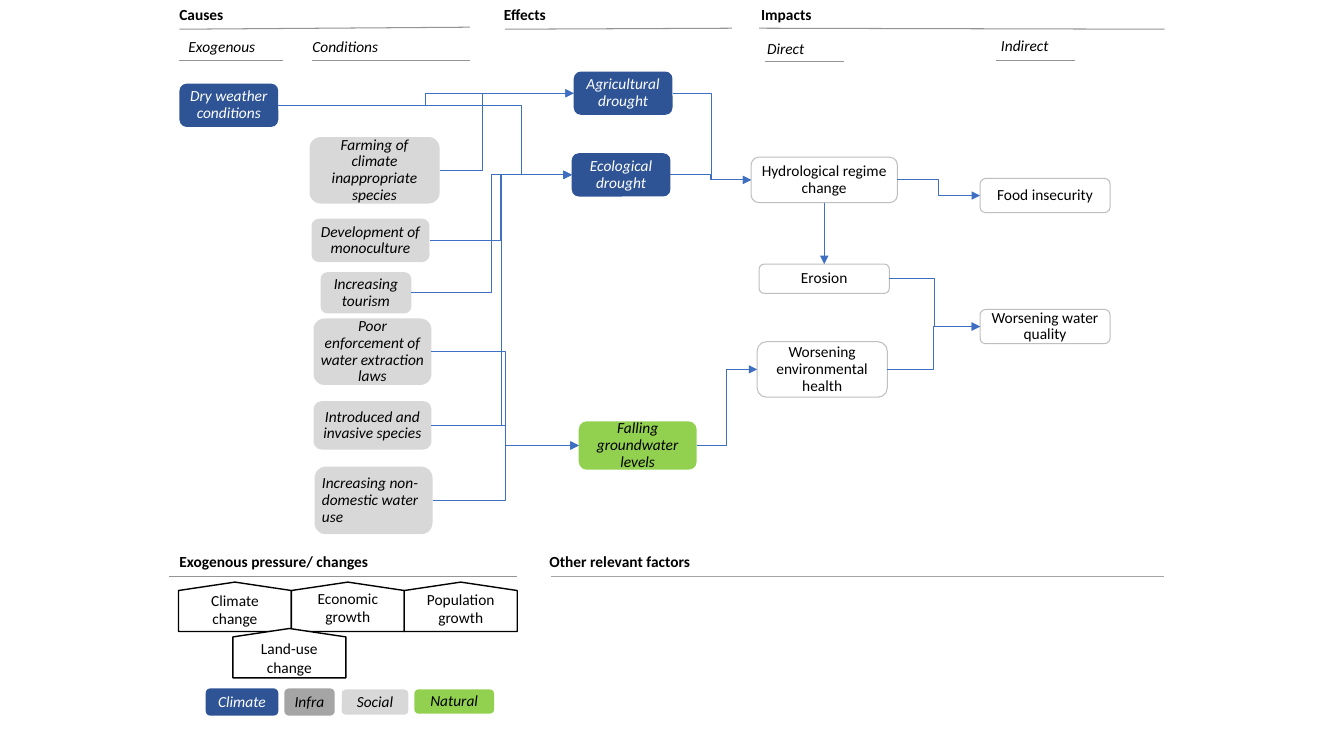
"""Build a cause, effect and impact diagram of drought."""
from dataclasses import dataclass
from typing import Any

from lxml import etree
from pptx import Presentation
from pptx.dml.color import RGBColor
from pptx.enum.shapes import MSO_CONNECTOR, MSO_SHAPE
from pptx.enum.text import MSO_ANCHOR, MSO_AUTO_SIZE, PP_ALIGN
from pptx.oxml.ns import qn
from pptx.util import Inches, Pt

ROUNDED, PENTAGON = MSO_SHAPE.ROUNDED_RECTANGLE, MSO_SHAPE.PENTAGON
STRAIGHT, ELBOW = MSO_CONNECTOR.STRAIGHT, MSO_CONNECTOR.ELBOW
LEFT, CENTER = PP_ALIGN.LEFT, PP_ALIGN.CENTER
TOP, MIDDLE = MSO_ANCHOR.TOP, MSO_ANCHOR.MIDDLE
FIT_SHAPE, NO_FIT = MSO_AUTO_SIZE.SHAPE_TO_FIT_TEXT, MSO_AUTO_SIZE.NONE
SITE_TOP, SITE_LEFT, SITE_BOTTOM, SITE_RIGHT = range(4)


@dataclass(frozen=True)
class Theme:
    font: str = "Calibri"
    size: float = 11
    thin: float = 0.75
    outline: float = 1
    black: str = "000000"
    white: str = "FFFFFF"
    rule: str = "949494"
    light_rule: str = "A5A5A5"
    box_edge: str = "BFBFBF"
    arrow: str = "3F6FC3"


@dataclass(frozen=True)
class Category:
    fill: str
    ink: str = "000000"
    italic: bool = True
    edge: str | None = None
    side_inset: float = 0.04


@dataclass(frozen=True)
class Node:
    key: str
    label: str
    left: float
    top: float
    width: float
    height: float
    category: Category
    align: Any = CENTER


@dataclass(frozen=True)
class Heading:
    label: str
    left: float
    top: float
    width: float
    bold: bool


@dataclass(frozen=True)
class Rule:
    x1: float
    y1: float
    x2: float
    y2: float
    color: str


@dataclass(frozen=True)
class Link:
    source: str
    target: str
    bend: float = 0.5


@dataclass(frozen=True)
class Pressure:
    label: str
    center: float
    middle: float
    label_top: float


THEME = Theme()
CLIMATE = Category("2F5496", THEME.white)
INFRA = Category("A5A5A5")
SOCIAL = Category("D8D8D8")
NATURAL = Category("92D050")
IMPACT = Category(THEME.white, italic=False, edge=THEME.box_edge, side_inset=0)

HEADINGS = [
    Heading("Causes", 1.68, 0, 3.33, True),
    Heading("Effects", 4.9, 0, 2.01, True),
    Heading("Impacts", 7.45, 0, 3.74, True),
    Heading("Exogenous", 1.77, 0.32, 1.06, False),
    Heading("Conditions", 3, 0.32, 1.67, False),
    Heading("Direct", 7.51, 0.34, 1.06, False),
    Heading("Indirect", 9.83, 0.31, 1.67, False),
    Heading("Exogenous pressure/ changes", 1.68, 5.43, 3.41, True),
    Heading("Other relevant factors", 5.35, 5.43, 3.92, True),
]
RULES = [
    Rule(1.78, 0.29, 4.66, 0.27, THEME.rule),
    Rule(5.01, 0.29, 7.26, 0.28, THEME.rule),
    Rule(7.53, 0.28, 11.55, 0.29, THEME.rule),
    Rule(1.78, 0.6, 2.81, 0.6, THEME.rule),
    Rule(3.09, 0.6, 4.66, 0.6, THEME.rule),
    Rule(7.59, 0.61, 8.37, 0.61, THEME.rule),
    Rule(9.88, 0.6, 10.66, 0.6, THEME.rule),
    Rule(1.68, 5.72, 5.13, 5.72, THEME.rule),
    Rule(5.47, 5.72, 11.54, 5.72, THEME.light_rule),
]
NODES = [
    Node("dry", "Dry weather conditions", 1.78, 0.83, 0.98, 0.43, CLIMATE),
    Node("farming", "Farming of climate inappropriate species", 3.07, 1.36, 1.29, 0.66, SOCIAL),
    Node("monoculture", "Development of monoculture", 3.09, 2.17, 1.17, 0.43, SOCIAL),
    Node("tourism", "Increasing tourism", 3.18, 2.7, 0.9, 0.41, SOCIAL),
    Node("laws", "Poor enforcement of water extraction laws", 3.11, 3.16, 1.17, 0.66, SOCIAL),
    Node("invasive", "Introduced and invasive species", 3.11, 3.98, 1.17, 0.48, SOCIAL),
    Node("use", "Increasing non-domestic water use", 3.12, 4.63, 1.17, 0.67, SOCIAL, LEFT),
    Node("agricultural", "Agricultural drought", 5.69, 0.71, 0.98, 0.43, CLIMATE),
    Node("ecological", "Ecological drought", 5.67, 1.52, 0.98, 0.43, CLIMATE),
    Node("groundwater", "Falling groundwater levels", 5.74, 4.18, 1.17, 0.48, NATURAL),
    Node("regime", "Hydrological regime change", 7.45, 1.56, 1.45, 0.45, IMPACT),
    Node("erosion", "Erosion", 7.53, 2.62, 1.29, 0.29, IMPACT),
    Node("health", "Worsening environmental health", 7.51, 3.39, 1.29, 0.55, IMPACT),
    Node("food", "Food insecurity", 9.72, 1.77, 1.29, 0.34, IMPACT),
    Node("quality", "Worsening water quality", 9.72, 3.07, 1.29, 0.34, IMPACT),
    Node("climate key", "Climate", 2.04, 6.83, 0.72, 0.27, CLIMATE),
    Node("infra key", "Infra", 2.82, 6.83, 0.5, 0.27, INFRA),
    Node("social key", "Social", 3.39, 6.84, 0.66, 0.25, SOCIAL),
    Node("natural key", "Natural", 4.11, 6.84, 0.79, 0.24, NATURAL),
]
LINKS = [
    Link("dry", "agricultural"), Link("dry", "ecological", 0.83),
    Link("laws", "groundwater"), Link("use", "groundwater"),
    Link("invasive", "groundwater"), Link("farming", "agricultural", 0.32),
    Link("monoculture", "ecological"), Link("tourism", "ecological"),
    Link("invasive", "ecological"), Link("groundwater", "health"),
    Link("ecological", "regime"), Link("agricultural", "regime"),
    Link("erosion", "quality"), Link("health", "quality"), Link("regime", "food"),
]
PLATE_WIDTH, PLATE_HEIGHT = 1.12, 0.49
PRESSURES = [
    Pressure("Climate change", 2.33, 6.02, 5.82),
    Pressure("Economic growth", 2.33 + PLATE_WIDTH, 6.02, 5.8),
    Pressure("Population growth", 2.33 + 2 * PLATE_WIDTH, 6.02, 5.81),
    Pressure("Land-use change", 2.87, 6.48, 6.3),
]


def apply(part: Any, values: dict[str, Any]) -> None:
    for attribute, value in values.items():
        setattr(part, attribute, value)


def write(shape: Any, label: str, ink: str = THEME.black, bold: bool = False,
          italic: bool = False, align: Any = LEFT, anchor: Any = TOP, spacing: float = 1,
          side: float = 0.1, vertical: float = 0.05, fit: Any = NO_FIT) -> None:
    frame = shape.text_frame
    apply(frame, {"word_wrap": True, "auto_size": fit, "vertical_anchor": anchor,
                  "margin_left": Inches(side), "margin_right": Inches(side),
                  "margin_top": Inches(vertical), "margin_bottom": Inches(vertical)})
    paragraph = frame.paragraphs[0]
    apply(paragraph, {"alignment": align, "line_spacing": spacing})
    run = paragraph.add_run()
    run.text = label
    apply(run.font, {"name": THEME.font, "size": Pt(THEME.size), "bold": bold, "italic": italic})
    run.font.color.rgb = RGBColor.from_string(ink)


def paint(shape: Any, fill: str, edge: str | None, weight: float) -> None:
    shape.shadow.inherit = False
    shape.fill.solid()
    shape.fill.fore_color.rgb = RGBColor.from_string(fill)
    if edge is None:
        shape.line.fill.background()
    else:
        shape.line.color.rgb = RGBColor.from_string(edge)
        shape.line.width = Pt(weight)


def draw_line(shapes: Any, kind: Any, ends: tuple[int, ...], color: str) -> Any:
    line = shapes.add_connector(kind, *ends)
    line.line.color.rgb = RGBColor.from_string(color)
    line.line.width = Pt(THEME.thin)
    etree.SubElement(line._element.spPr, qn("a:effectLst"))
    return line


def draw_heading(shapes: Any, heading: Heading) -> None:
    box = shapes.add_textbox(*map(Inches, (heading.left, heading.top, heading.width, 0.29)))
    write(box, heading.label, bold=heading.bold, italic=not heading.bold, fit=FIT_SHAPE)


def draw_node(shapes: Any, node: Node) -> Any:
    box = shapes.add_shape(ROUNDED, *map(Inches, (node.left, node.top, node.width, node.height)))
    style = node.category
    paint(box, style.fill, style.edge, THEME.thin)
    write(box, node.label, style.ink, italic=style.italic, align=node.align, anchor=MIDDLE,
          spacing=0.9, side=style.side_inset, vertical=0.04)
    return box


def draw_arrow(shapes: Any, source: Any, target: Any, bend: float | None) -> None:
    if bend is None:
        center = source.left + source.width // 2
        ends = (center, source.top + source.height, center, target.top)
        kind, sites = STRAIGHT, (SITE_BOTTOM, SITE_TOP)
    else:
        ends = (source.left + source.width, source.top + source.height // 2,
                target.left, target.top + target.height // 2)
        kind, sites = ELBOW, (SITE_RIGHT, SITE_LEFT)
    arrow = draw_line(shapes, kind, ends, THEME.arrow)
    arrow.begin_connect(source, sites[0])
    arrow.end_connect(target, sites[1])
    properties = arrow._element.spPr
    etree.SubElement(properties.find(qn("a:ln")), qn("a:tailEnd"), type="triangle")
    if bend is not None:
        guides = properties.find(qn("a:prstGeom")).get_or_add_avLst()
        etree.SubElement(guides, qn("a:gd"), name="adj1", fmla=f"val {round(bend * 100000)}")


def draw_pressure(shapes: Any, pressure: Pressure) -> None:
    plate = shapes.add_shape(PENTAGON, Inches(pressure.center - PLATE_HEIGHT / 2),
                             Inches(pressure.middle - PLATE_WIDTH / 2),
                             Inches(PLATE_HEIGHT), Inches(PLATE_WIDTH))
    plate.rotation = 270
    plate.adjustments[0] = 0.17
    paint(plate, THEME.white, THEME.black, THEME.outline)
    caption = shapes.add_textbox(Inches(pressure.center - PLATE_WIDTH / 2),
                                 Inches(pressure.label_top), Inches(PLATE_WIDTH), Inches(0.45))
    write(caption, pressure.label, align=CENTER, anchor=MIDDLE)


def main() -> None:
    deck = Presentation()
    apply(deck, {"slide_width": Inches(13.33), "slide_height": Inches(7.5)})
    shapes = deck.slides.add_slide(deck.slide_layouts[6]).shapes
    for heading in HEADINGS:
        draw_heading(shapes, heading)
    for rule in RULES:
        ends = tuple(map(Inches, (rule.x1, rule.y1, rule.x2, rule.y2)))
        draw_line(shapes, STRAIGHT, ends, rule.color)
    boxes = {node.key: draw_node(shapes, node) for node in NODES}
    for link in LINKS:
        draw_arrow(shapes, boxes[link.source], boxes[link.target], link.bend)
    draw_arrow(shapes, boxes["regime"], boxes["erosion"], None)
    for pressure in PRESSURES:
        draw_pressure(shapes, pressure)
    deck.save("out.pptx")


if __name__ == "__main__":
    main()
